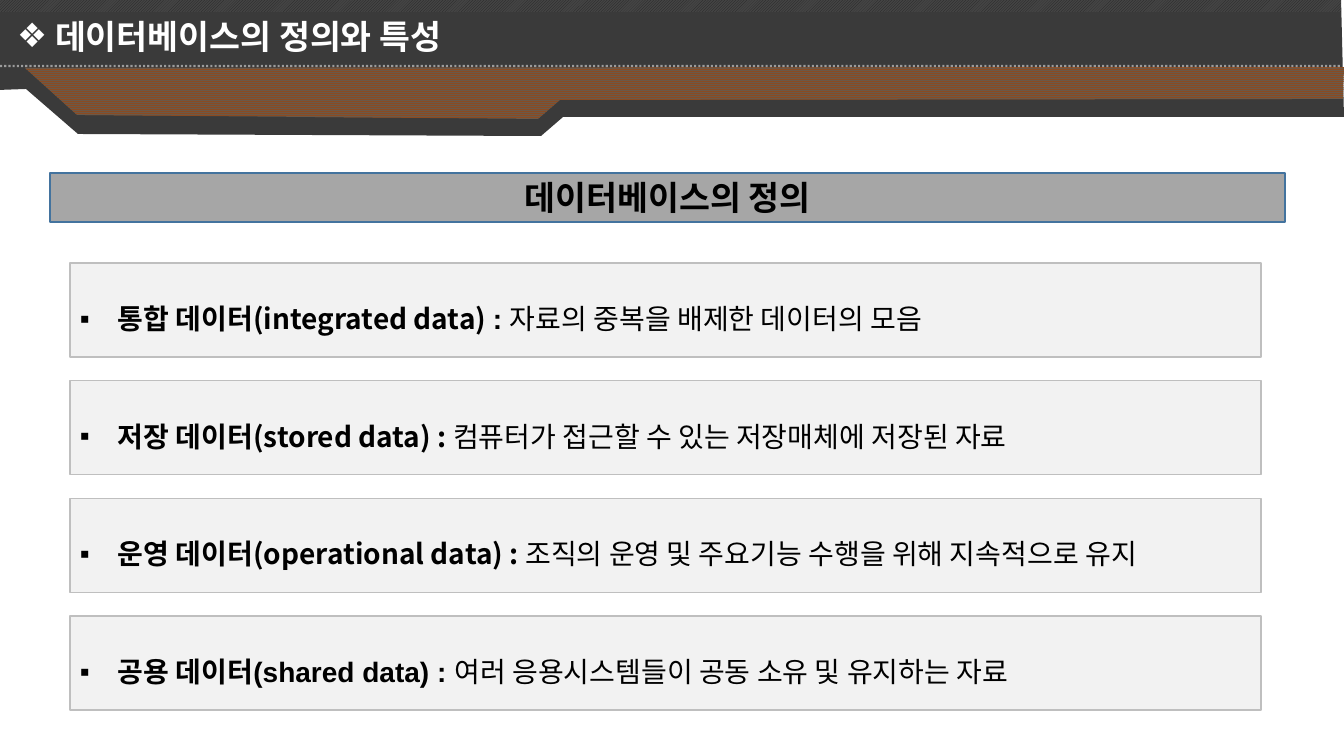
from dataclasses import dataclass

from pptx import Presentation
from pptx import util as u
from pptx.dml.color import RGBColor
from pptx.enum import dml, shapes, text
from pptx.oxml.ns import qn
from lxml import etree

PX = 914400 / 100.8
SLIDE_W, SLIDE_H = 1344, 756


@dataclass(frozen=True)
class Theme:
    font: str = "Noto Sans CJK KR"
    latin: str = "Arial"
    heading: int = 24
    body: int = 20
    dark: str = "3A3A3A"
    hatch: tuple = ("222222", "444444")
    stripes: tuple = ("8A4B22", "6B5848")
    white: str = "FFFFFF"
    black: str = "000000"
    bar: str = "A6A6A6"
    bar_edge: str = "43739E"
    card: str = "F2F2F2"
    card_edge: str = "BFBFBF"


T = Theme()

# Each definition: runs of (text, bold, Latin font)
DEFINITIONS = [
    [("통합 데이터(integrated data) ", True, T.font), (": ", True, T.latin),
     ("자료의 중복을 배제한 데이터의 모음", False, T.latin)],
    [("저장 데이터(stored data) : ", True, T.font),
     ("컴퓨터가 접근할 수 있는 저장매체에 저장된 자료", False, T.font)],
    [("운영 데이터(operational data) : ", True, T.font),
     ("조직의 운영 및 주요기능 수행을 위해 지속적으로 유지", False, T.font)],
    [("공용 데이터(shared data) : ", True, T.latin),
     ("여러 응용시스템들이 공동 소유 및 유지하는 자료", False, T.font)],
]


def px(value):
    return u.Emu(round(value * PX))


def rgb(value):
    return RGBColor.from_string(value)


def assign(target, values):
    for name, value in values.items():
        setattr(target, name, value)


def paint(shape, fill, edge=None):
    """Flat fill, or a pattern when fill is (pattern, (fore, back))."""
    shape.shadow.inherit = False
    if isinstance(fill, str):
        shape.fill.solid()
        shape.fill.fore_color.rgb = rgb(fill)
    else:
        pattern, (fore, back) = fill
        shape.fill.patterned()
        shape.fill.pattern = pattern
        shape.fill.fore_color.rgb, shape.fill.back_color.rgb = rgb(fore), rgb(back)
    if edge:
        shape.line.color.rgb = rgb(edge)
        shape.line.width = u.Pt(1)
    else:
        shape.line.fill.background()


def add_box(slide, box, fill, edge=None):
    rect = slide.shapes.add_shape(shapes.MSO_SHAPE.RECTANGLE, *map(px, box))
    paint(rect, fill, edge)
    assign(rect.text_frame, {"word_wrap": True,
                             "vertical_anchor": text.MSO_ANCHOR.MIDDLE})
    return rect


def add_outline(slide, box, points, fill):
    left, top = box[:2]
    corners = [(left + x, top + y) for x, y in points]
    builder = slide.shapes.build_freeform(*corners[0], scale=PX)
    builder.add_line_segments(corners[1:], close=True)
    paint(builder.convert_to_shape(), fill)


def add_bullet(paragraph, mark, indent):
    props = paragraph._p.get_or_add_pPr()
    props.set("marL", str(px(indent)))
    props.set("indent", str(-px(indent)))
    etree.SubElement(props, qn("a:buFont")).set("typeface", T.latin)
    etree.SubElement(props, qn("a:buChar")).set("char", mark)


def add_run(paragraph, words, size, color, bold=True, latin=T.font):
    run = paragraph.add_run()
    run.text = words
    assign(run.font, {"size": u.Pt(size), "bold": bold, "name": latin})
    run.font.color.rgb = rgb(color)
    east_asian = etree.Element(qn("a:ea"), typeface=T.font)
    run.font._element.find(qn("a:latin")).addnext(east_asian)
    return run


def add_banner(slide, box):
    left, top, width, _ = box
    # Dark silhouette with its hatched upper edge
    add_outline(slide, box, [(-2, -2), (1341, -3), (width, 117), (563, 117),
                             (541, 136), (78, 134), (26, 89), (-2, 90)], T.dark)
    add_box(slide, (left - 3, top, width, 12),
            (dml.MSO_PATTERN.LIGHT_UPWARD_DIAGONAL, T.hatch))
    # Striped ribbon
    add_outline(slide, box, [(25, 68), (77, 115), (538, 119), (560, 100),
                             (1343, 99), (width, 67)],
                (dml.MSO_PATTERN.NARROW_HORIZONTAL, T.stripes))
    # Translucent dotted rule
    rule = slide.shapes.add_connector(shapes.MSO_CONNECTOR.STRAIGHT, px(left),
                                      px(top + 66), px(left + 1340), px(top + 66))
    rule.line.color.rgb = rgb(T.white)
    assign(rule.line, {"width": u.Pt(1.5),
                       "dash_style": dml.MSO_LINE.ROUND_DOT})
    color = rule.line._ln.find(".//" + qn("a:srgbClr"))
    etree.SubElement(color, qn("a:alpha")).set("val", "50000")
    etree.SubElement(rule._element.spPr, qn("a:effectLst"))


def add_title(slide, box, words):
    title = slide.shapes.title
    slide.shapes._spTree.append(title._element)  # in front of the banner
    assign(title, dict(zip(("left", "top", "width", "height"), map(px, box))))
    assign(title.text_frame, {"word_wrap": True,
                              "auto_size": text.MSO_AUTO_SIZE.NONE,
                              "vertical_anchor": text.MSO_ANCHOR.TOP})
    heading = title.text_frame.paragraphs[0]
    heading.alignment = text.PP_ALIGN.LEFT
    add_bullet(heading, "❖", 38)
    run = add_run(heading, words, T.heading, T.white)
    # Text shadow
    effects = etree.Element(qn("a:effectLst"))
    shadow = etree.SubElement(effects, qn("a:outerShdw"), blurRad="38100",
                              dist="38100", dir="2700000", algn="tl")
    etree.SubElement(shadow, qn("a:srgbClr"), val=T.black)
    run.font._element.find(qn("a:solidFill")).addnext(effects)


def add_section_bar(slide, box, words):
    bar = add_box(slide, box, T.bar, T.bar_edge)
    caption = bar.text_frame.paragraphs[0]
    caption.alignment = text.PP_ALIGN.CENTER
    add_run(caption, words, T.heading, T.black)


def add_definitions(slide, box, definitions, card_height):
    left, top, width, height = box
    pitch = (height - card_height) / (len(definitions) - 1)
    for row, runs in enumerate(definitions):
        card = add_box(slide, (left, top + row * pitch, width, card_height),
                       T.card, T.card_edge)
        line = card.text_frame.paragraphs[0]
        assign(line, {"alignment": text.PP_ALIGN.LEFT, "line_spacing": 1.5})
        add_bullet(line, "▪", 38)
        for words, bold, latin in runs:
            add_run(line, words, T.body, T.black, bold, latin)


def main():
    deck = Presentation()
    assign(deck, {"slide_width": px(SLIDE_W), "slide_height": px(SLIDE_H)})
    slide = deck.slides.add_slide(deck.slide_layouts.get_by_name("Title Only"))
    add_banner(slide, (0, 0, SLIDE_W, 136))
    add_title(slide, (7, 11, 664, 50), "데이터베이스의 정의와 특성")
    add_section_bar(slide, (50, 173, 1235, 49), "데이터베이스의 정의")
    add_definitions(slide, (70, 263, 1191, 447), DEFINITIONS, 94)
    deck.save("out.pptx")


if __name__ == "__main__":
    main()
